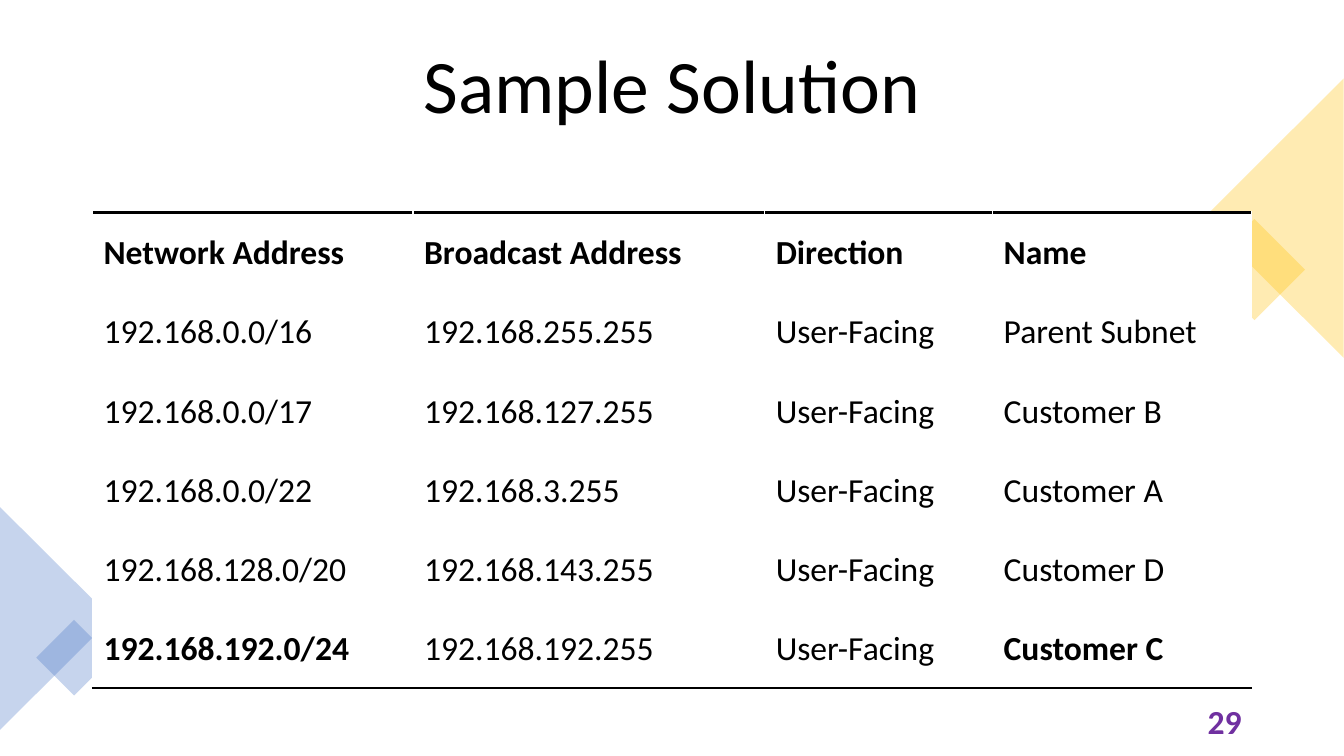
import dataclasses

import lxml.etree
import pptx
import pptx.dml.color
import pptx.enum.shapes
import pptx.enum.text
import pptx.oxml
import pptx.oxml.ns
import pptx.slide
import pptx.table
import pptx.text.text
import pptx.util

Pt = pptx.util.Pt
Align = pptx.enum.text.PP_ALIGN
Anchor = pptx.enum.text.MSO_ANCHOR
Preset = pptx.enum.shapes.MSO_SHAPE


@dataclasses.dataclass(frozen=True)
class Theme:
    font: str = "Calibri"
    ink: str = "000000"
    paper: str = "FFFFFF"
    gold: str = "FFC000"
    blue: str = "4472C4"
    purple: str = "7030A0"
    title_size: float = 54
    body_size: float = 24
    rule_width: float = 2
    accent_opacity: int = 30


@dataclasses.dataclass(frozen=True)
class Accent:
    preset: Preset
    left: float
    top: float
    width: float
    height: float
    rotation: float
    color: str


@dataclasses.dataclass(frozen=True)
class Caption:
    text: str
    left: float
    top: float
    width: float
    height: float
    align: Align
    anchor: Anchor
    size: float
    color: str
    bold: bool = False
    line_spacing: float = 1.0


@dataclasses.dataclass(frozen=True)
class Subnet:
    network: str
    broadcast: str
    name: str
    highlighted: bool = False
    direction: str = "User-Facing"


THEME = Theme()

ACCENTS = [
    Accent(Preset.RECTANGLE, 870.5, 167, 51.1, 51.1, 45, THEME.gold),
    Accent(Preset.ISOSCELES_TRIANGLE, 810, 105.8, 199.6, 100, 270, THEME.gold),
    Accent(Preset.ISOSCELES_TRIANGLE, -39.6, 401.8, 159.1, 79.9, 90, THEME.blue),
    Accent(Preset.RECTANGLE, 33.8, 450.7, 38.2, 38.2, 45, THEME.blue),
]

CAPTIONS = [
    Caption("Sample Solution", 66, 23, 828, 73.5, Align.CENTER, Anchor.BOTTOM,
            THEME.title_size, THEME.ink, line_spacing=0.9),
    Caption("29", 678, 500.4, 216, 28.8, Align.RIGHT, Anchor.MIDDLE,
            THEME.body_size, THEME.purple, bold=True),
]

HEADINGS = ("Network Address", "Broadcast Address", "Direction", "Name")
COLUMN_WIDTHS = (229, 251.2, 162.8, 185)
ROW_HEIGHT = 56.6

SUBNETS = [
    Subnet("192.168.0.0/16", "192.168.255.255", "Parent Subnet"),
    Subnet("192.168.0.0/17", "192.168.127.255", "Customer B"),
    Subnet("192.168.0.0/22", "192.168.3.255", "Customer A"),
    Subnet("192.168.128.0/20", "192.168.143.255", "Customer D"),
    Subnet("192.168.192.0/24", "192.168.192.255", "Customer C", highlighted=True),
]


def rgb(color: str) -> pptx.dml.color.RGBColor:
    return pptx.dml.color.RGBColor.from_string(color)


def add_run(paragraph: pptx.text.text._Paragraph, text: str, size: float,
            color: str, bold: bool) -> None:
    run = paragraph.add_run()
    run.text = text
    run.font.name = THEME.font
    run.font.size = Pt(size)
    run.font.bold = bold
    run.font.color.rgb = rgb(color)


def draw_accent(slide: pptx.slide.Slide, accent: Accent) -> None:
    diamond = slide.shapes.add_shape(
        accent.preset, Pt(accent.left), Pt(accent.top), Pt(accent.width), Pt(accent.height))
    diamond.rotation = accent.rotation
    diamond.shadow.inherit = False
    diamond.line.fill.background()
    diamond.fill.solid()
    diamond.fill.fore_color.rgb = rgb(accent.color)
    # Transparency
    fill_color = diamond.fill._xPr.find(".//" + pptx.oxml.ns.qn("a:srgbClr"))
    alpha = lxml.etree.SubElement(fill_color, pptx.oxml.ns.qn("a:alpha"))
    alpha.set("val", str(THEME.accent_opacity * 1000))


def draw_caption(slide: pptx.slide.Slide, caption: Caption) -> None:
    frame = slide.shapes.add_textbox(
        Pt(caption.left), Pt(caption.top), Pt(caption.width), Pt(caption.height)).text_frame
    frame.word_wrap = True
    frame.vertical_anchor = caption.anchor
    paragraph = frame.paragraphs[0]
    paragraph.alignment = caption.align
    paragraph.line_spacing = caption.line_spacing
    add_run(paragraph, caption.text, caption.size, caption.color, caption.bold)


def add_rule(cell: pptx.table._Cell, side: str) -> None:
    rule = pptx.oxml.parse_xml(
        f'<a:{side} {pptx.oxml.ns.nsdecls("a")} w="{Pt(THEME.rule_width)}">'
        f'<a:solidFill><a:srgbClr val="{THEME.ink}"/></a:solidFill></a:{side}>')
    cell._tc.get_or_add_tcPr().insert(0, rule)


def fill_cell(cell: pptx.table._Cell, text: str, bold: bool) -> None:
    cell.margin_left = cell.margin_right = cell.margin_bottom = Pt(8)
    cell.margin_top = Pt(14.4)
    cell.fill.solid()
    cell.fill.fore_color.rgb = rgb(THEME.paper)
    add_run(cell.text_frame.paragraphs[0], text, THEME.body_size, THEME.ink, bold)


def draw_subnets(slide: pptx.slide.Slide) -> None:
    row_count = len(SUBNETS) + 1
    subnets = slide.shapes.add_table(
        row_count, len(HEADINGS), Pt(66), Pt(151.9),
        Pt(sum(COLUMN_WIDTHS)), Pt(ROW_HEIGHT * row_count)).table
    subnets.first_row = subnets.horz_banding = False
    for column, width in zip(subnets.columns, COLUMN_WIDTHS):
        column.width = Pt(width)
    for row in subnets.rows:
        row.height = Pt(ROW_HEIGHT)

    # Header row, then one row per subnet
    for column, heading in enumerate(HEADINGS):
        fill_cell(subnets.cell(0, column), heading, True)
    for row, subnet in enumerate(SUBNETS, start=1):
        fill_cell(subnets.cell(row, 0), subnet.network, subnet.highlighted)
        fill_cell(subnets.cell(row, 1), subnet.broadcast, False)
        fill_cell(subnets.cell(row, 2), subnet.direction, False)
        fill_cell(subnets.cell(row, 3), subnet.name, subnet.highlighted)

    # Rules above and below the table
    for column in range(len(HEADINGS)):
        add_rule(subnets.cell(0, column), "lnT")
        add_rule(subnets.cell(row_count - 1, column), "lnB")


def main() -> None:
    deck = pptx.Presentation()
    deck.slide_width, deck.slide_height = Pt(960), Pt(540)
    slide = deck.slides.add_slide(deck.slide_layouts[6])

    # Corner decoration
    for accent in ACCENTS:
        draw_accent(slide, accent)
    # Address plan
    draw_subnets(slide)
    # Title and page number
    for caption in CAPTIONS:
        draw_caption(slide, caption)

    deck.save("out.pptx")


if __name__ == "__main__":
    main()
